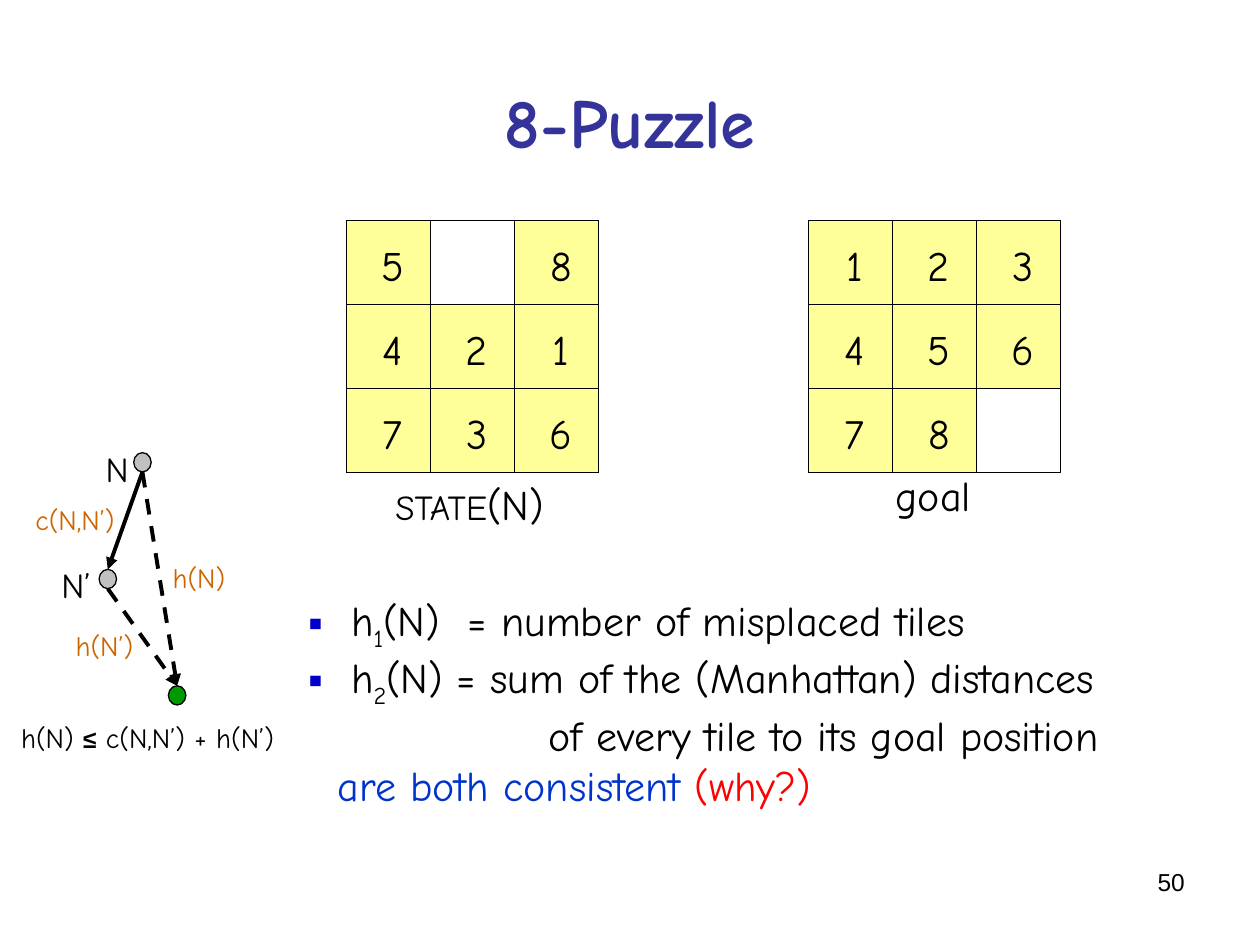
"""Build the 8-puzzle heuristics slide."""
from dataclasses import dataclass, field

from lxml import etree
from pptx import Presentation
from pptx import util as u
from pptx.dml.color import RGBColor
from pptx.enum import dml, shapes, text
from pptx.oxml import ns

BLACK = RGBColor(0x00, 0x00, 0x00)
NAVY = RGBColor(0x33, 0x33, 0x99)
YELLOW = RGBColor(0xFF, 0xFF, 0x99)
SILVER = RGBColor(0xC0, 0xC0, 0xC0)
GREEN = RGBColor(0x00, 0x99, 0x00)
ORANGE = RGBColor(0xCC, 0x66, 0x00)
BLUE = RGBColor(0x00, 0x33, 0xCC)
RED = RGBColor(0xFF, 0x00, 0x00)
BULLET = RGBColor(0x00, 0x00, 0xCC)
CELL, BOARD_TOP = 48, 126
NODE_W, NODE_H = 10, 11
LEFT, CENTER, RIGHT = text.PP_ALIGN.LEFT, text.PP_ALIGN.CENTER, text.PP_ALIGN.RIGHT


@dataclass
class Run:
    text: str
    size: float = 24
    color: RGBColor = BLACK
    bold: bool = False
    name: str = "Comic Neue"
    baseline: int = 0


@dataclass
class Para:
    runs: list[Run]
    align: text.PP_ALIGN = LEFT
    margin: float = 0
    hanging: float = 0


@dataclass
class Box:
    left: float
    top: float
    width: float
    height: float
    paras: list[Para]
    wrap: bool = False
    anchor: text.MSO_ANCHOR = text.MSO_ANCHOR.TOP


@dataclass
class Board:
    left: float
    rows: list[str]


@dataclass
class Node:
    x: float
    top: float
    fill: RGBColor = field(default=SILVER)


@dataclass
class Edge:
    start: Node
    end: Node
    dashed: bool = True


def sub(parent, tag: str, **attrs: str):
    """Append a DrawingML child element."""
    return etree.SubElement(parent, ns.qn(tag), attrs)


def write_para(p, para: Para) -> None:
    """Fill one paragraph with its runs and bullet."""
    p.alignment = para.align
    pPr = p._p.get_or_add_pPr()
    pPr.set("marL", str(u.Pt(para.margin)))
    pPr.set("indent", str(-u.Pt(para.hanging)))
    if para.hanging:
        sub(sub(pPr, "a:buClr"), "a:srgbClr", val=str(BULLET))
        sub(pPr, "a:buFont", typeface="Arial")
        sub(pPr, "a:buChar", char="▪")
    for run in para.runs:
        r = p.add_run()
        r.text = run.text
        for key, value in {"size": u.Pt(run.size), "bold": run.bold, "name": run.name}.items():
            setattr(r.font, key, value)
        r.font.color.rgb = run.color
        if run.baseline:
            r._r.get_or_add_rPr().set("baseline", str(run.baseline * 1000))


def add_box(s, box: Box) -> None:
    """Add a text box that grows with its text unless it wraps."""
    sp = s.shapes.add_textbox(*map(u.Pt, (box.left, box.top, box.width, box.height)))
    tf = sp.text_frame
    fit = text.MSO_AUTO_SIZE.NONE if box.wrap else text.MSO_AUTO_SIZE.SHAPE_TO_FIT_TEXT
    for key, value in {"word_wrap": box.wrap, "auto_size": fit, "vertical_anchor": box.anchor}.items():
        setattr(tf, key, value)
    for i, para in enumerate(box.paras):
        write_para(tf.add_paragraph() if i else tf.paragraphs[0], para)


def add_outline(s, kind, left: float, top: float, width: float, height: float, fill=None):
    """Add a thin black outlined shape, filled if a colour is given."""
    sp = s.shapes.add_shape(kind, *map(u.Pt, (left, top, width, height)))
    sp.shadow.inherit = False
    sp.line.color.rgb = BLACK
    sp.line.width = u.Pt(0.75)
    if fill is None:
        sp.fill.background()
    else:
        sp.fill.solid()
        sp.fill.fore_color.rgb = fill
    return sp


def add_board(s, board: Board) -> None:
    """Draw a puzzle board, leaving the blank cell open."""
    rect = shapes.MSO_SHAPE.RECTANGLE
    add_outline(s, rect, board.left, BOARD_TOP, 3 * CELL, 3 * CELL)
    margins = {"margin_left": 5, "margin_right": 0, "margin_top": 3, "margin_bottom": 0}
    for row, digits in enumerate(board.rows):
        for col, digit in enumerate(digits):
            if digit == " ":
                continue
            sp = add_outline(s, rect, board.left + col * CELL, BOARD_TOP + row * CELL, CELL, CELL, YELLOW)
            tf = sp.text_frame
            for key, value in margins.items():
                setattr(tf, key, u.Pt(value))
            tf.vertical_anchor = text.MSO_ANCHOR.MIDDLE
            write_para(tf.paragraphs[0], Para([Run(digit)], CENTER))


def add_edge(s, edge: Edge) -> None:
    """Draw an arrow from the bottom of one node to the top of another."""
    ends = (edge.start.x, edge.start.top + NODE_H, edge.end.x, edge.end.top)
    sp = s.shapes.add_connector(shapes.MSO_CONNECTOR.STRAIGHT, *map(u.Pt, ends))
    sp.line.color.rgb = BLACK
    sp.line.width = u.Pt(2.25)
    if edge.dashed:
        sp.line.dash_style = dml.MSO_LINE.DASH
    sub(sp.line._get_or_add_ln(), "a:tailEnd", type="triangle")
    sub(sp._element.spPr, "a:effectLst")


def label(left: float, top: float, width: float, height: float, *runs: Run, align=LEFT) -> Box:
    """Describe a one-line unwrapped label."""
    return Box(left, top, width, height, [Para(list(runs), align)])


def heuristic(index: str, definition: str) -> Para:
    """Describe a bulleted heuristic definition."""
    return Para([Run("h"), Run(index, baseline=-25), Run(definition)], margin=43.5, hanging=24.5)


N, N_NEXT, GOAL = Node(81.4, 258.7), Node(61.6, 325.4), Node(101.2, 391.9, GREEN)
EDGES = [Edge(N, N_NEXT, dashed=False), Edge(N_NEXT, GOAL), Edge(N, GOAL)]
BOARDS = [Board(198, ["5 8", "421", "736"]), Board(462, ["123", "456", "78 "])]
BOXES = [
    Box(36, 24, 648, 90, [Para([Run("8-Puzzle", 40, NAVY, True)], CENTER)], True, text.MSO_ANCHOR.MIDDLE),
    label(218.9, 270, 102, 36, Run("STATE", 20), Run("(N)")),
    label(504.7, 265, 58, 36, Run("goal")),
    Box(150, 336.2, 570, 130, [
        heuristic("1", "(N)  = number of misplaced tiles"),
        heuristic("2", "(N) = sum of the (Manhattan) distances"),
        Para([Run("of every tile to its goal position")], margin=156.5),
        Para([Run("are both consistent ", color=BLUE), Run("(why?)", color=RED)], margin=36),
    ], True),
    label(53.3, 252, 27.4, 31.7, Run("N", 20)),
    label(28, 318.2, 34, 31.7, Run("N’", 20)),
    label(91.4, 316.8, 44.6, 26.6, Run("h(N)", 16, ORANGE), align=CENTER),
    label(36, 355.7, 47.5, 26.6, Run("h(N’)", 16, ORANGE), align=CENTER),
    label(13, 283.7, 59.8, 26.6, Run("c(N,N’)", 16, ORANGE), align=CENTER),
    label(5, 408.2, 162, 26.6, Run("h(N) ", 16), Run("≤", 14, bold=True, name="Arial"),
          Run(" c(N,N’) + h(N’)", 16)),
    Box(516.2, 491.8, 168, 37.4, [Para([Run("50", 14, name="Arial")], RIGHT)], True),
]


def main() -> None:
    """Assemble and save the slide."""
    prs = Presentation()
    prs.slide_width, prs.slide_height = u.Pt(720), u.Pt(540)
    s = prs.slides.add_slide(prs.slide_layouts[6])
    for board in BOARDS:
        add_board(s, board)
    for node in (N, N_NEXT, GOAL):
        add_outline(s, shapes.MSO_SHAPE.OVAL, node.x - NODE_W / 2, node.top, NODE_W, NODE_H, node.fill)
    for edge in EDGES:
        add_edge(s, edge)
    for box in BOXES:
        add_box(s, box)
    prs.save("out.pptx")


if __name__ == "__main__":
    main()
